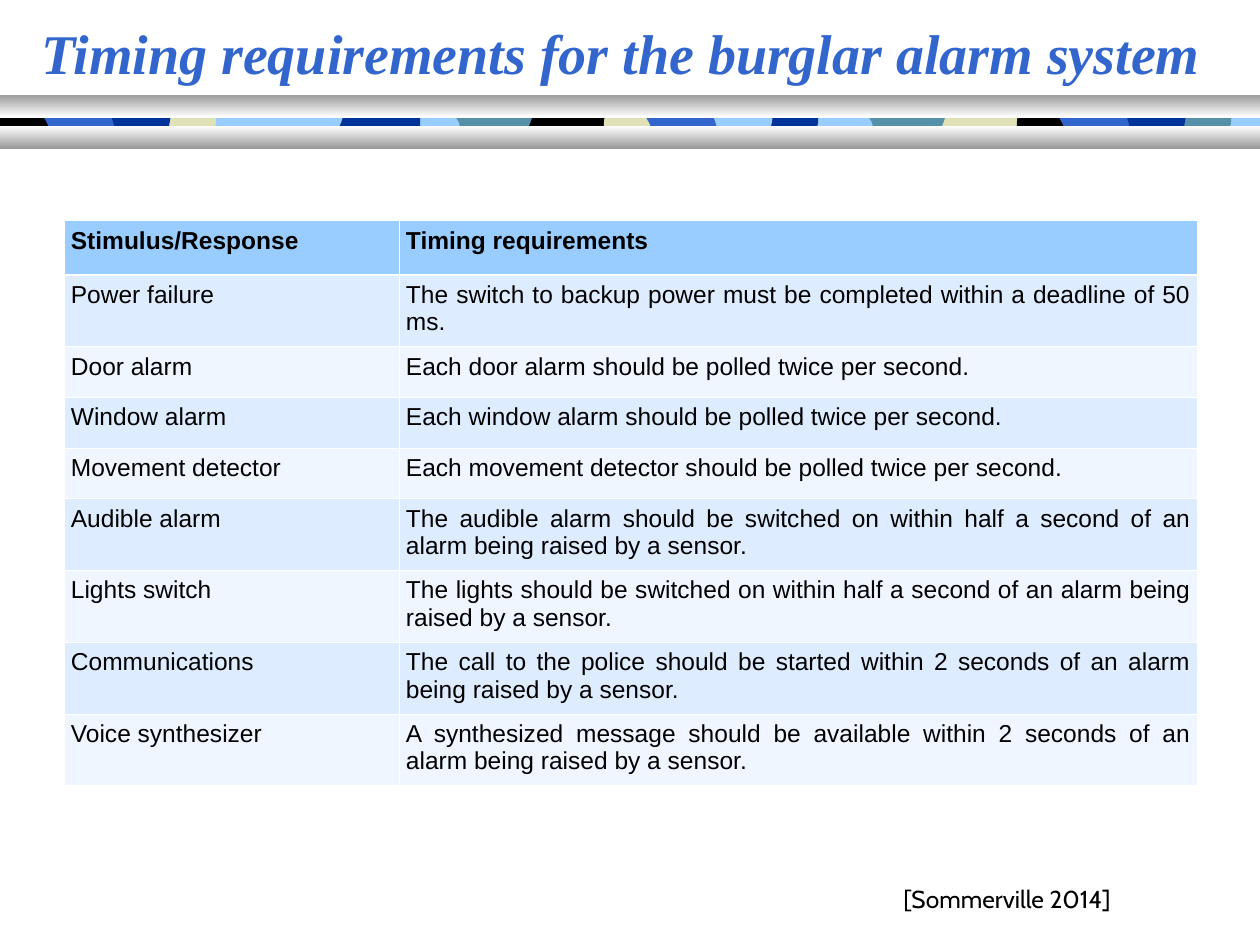
from dataclasses import dataclass
from typing import Any, Iterator, NamedTuple

from lxml.etree import SubElement as Sub
from pptx import Presentation
from pptx.dml.color import RGBColor as Rgb
from pptx.enum.shapes import MSO_SHAPE as Geo
from pptx.enum.text import MSO_ANCHOR as Anchor, MSO_AUTO_SIZE as Auto, PP_ALIGN as Align
from pptx.oxml.ns import qn
from pptx.util import Pt


@dataclass(frozen=True)
class Theme:
    black: str = "000000"
    white: str = "FFFFFF"
    grey: str = "999999"
    sky: str = "99CCFF"
    blue: str = "3366CC"
    navy: str = "003399"
    teal: str = "5490A8"
    sand: str = "E1E1B7"
    bands: tuple = ("DEECFF", "EFF6FF")
    head: float = 32
    text: float = 14
    thin: float = 0.45
    thick: float = 1.47


T = Theme()


class Box(NamedTuple):
    left: float
    top: float
    width: float
    height: float


class Tile(NamedTuple):
    """A ribbon piece: its offset in a run, and lines (2 numbers) or curves (6)."""
    left: float
    steps: tuple


class Run(NamedTuple):
    """Tiles laid from one origin, each with its colour."""
    left: float
    tiles: str
    inks: tuple


class Bar(NamedTuple):
    box: Box
    top: str
    foot: str


RIBBON = Box(0, 61.2, 720, 20.2)
TILES = {
    "A": Tile(0, ((45, 20), (0, 20), (8, 6.5, -8, 3.6, 0, 0), (45, 0))),
    "B": Tile(42.5, ((45, 20), (0, 20), (-8, 17, 5, 6.5, 0, 0), (45, 0))),
    "C": Tile(179.3, ((23, 20), (0, 20), (-4, 17, -4, 3.6, 0, 0), (23, 0),
                      (28, 1.4, 27.4, 5, 27.4, 8), (27.4, 11.5, 24, 18, 23, 20))),
    "D": Tile(88, ((31.5, 20), (0, 20), (-5, 17, -5, 3.6, 0, 0), (31.5, 0),
                   (27, 13, 31.5, 16, 31.5, 20))),
    "E": Tile(106, ((45, 20), (0, 20), (5.5, 17, 5.5, 15.5, 5.5, 13),
                    (5.5, 9.5, 0, 3.6, 0, 0), (45, 0))),
    "F": Tile(149, ((29.5, 20), (0, 20), (-5, 19, 0, 15.5, 0, 13), (0, 9, -5, 2, 0, 0),
                    (29.5, 0), (34.5, 3, 29.5, 14, 29.5, 17), (29.5, 20))),
    "edge": Tile(83.3, ((36.5, 20), (0, 20), (0, 0), (36.5, 0),
                        (31.5, 13, 36.5, 16, 36.5, 20))),
}
RUNS = (
    Run(496.8, ("A", "B", "C", "D", "E", "F"),
        (T.teal, T.sand, T.teal, T.black, T.blue, T.navy)),
    Run(260.8, ("A", "B", "C", "D", "E", "F"),
        (T.teal, T.black, T.navy, T.sand, T.blue, T.sky)),
    Run(152.6, ("A", "B"), (T.sky, T.navy)),
    Run(-83.3, ("C", "edge", "E", "F"), (T.sand, T.black, T.blue, T.navy)),
)
BARS = (Bar(Box(0, 54, 720, 13), T.grey, T.white),
        Bar(Box(0, 72, 720, 13), T.white, T.grey))

SENSOR = "of an alarm being raised by a sensor."
ROWS = (
    ("Stimulus/Response", "Timing requirements", 31),
    ("Power failure",
     "The switch to backup power must be completed within a deadline of 50 ms.", 41),
    ("Door alarm", "Each door alarm should be polled twice per second.", 29),
    ("Window alarm", "Each window alarm should be polled twice per second.", 29),
    ("Movement detector", "Each movement detector should be polled twice per second.", 29),
    ("Audible alarm",
     f"The audible alarm should be switched on within half a second {SENSOR}", 41),
    ("Lights switch", f"The lights should be switched on within half a second {SENSOR}", 41),
    ("Communications", f"The call to the police should be started within 2 seconds {SENSOR}", 41),
    ("Voice synthesizer",
     f"A synthesized message should be available within 2 seconds {SENSOR}", 41),
)
COLS = (191.5, 456.5)


def place(box: Box) -> tuple:
    return tuple(Pt(n) for n in box)


def apply(item: Any, form: dict) -> None:
    for name, value in form.items():
        setattr(item, name, value)


def paint(shape: Any, ink: str) -> None:
    shape.fill.solid()
    shape.fill.fore_color.rgb = Rgb.from_string(ink)


def plain(shape: Any) -> None:
    shape.shadow.inherit = False
    shape.line.fill.background()


def write(frame: Any, text: str, align: Any, ink: str, font: dict, form: dict) -> None:
    apply(frame, {"word_wrap": True, **form})
    line = frame.paragraphs[0]
    line.alignment = align
    run = line.add_run()
    run.text = text
    apply(run.font, font)
    run.font.color.rgb = Rgb.from_string(ink)


def trace(steps: tuple, parts: int = 8) -> Iterator[tuple]:
    """Yield the points of an outline, with each cubic curve cut into parts."""
    last = steps[0]
    for step in steps:
        if len(step) == 2:
            yield step
        else:
            knots = (last, step[:2], step[2:4], step[4:])
            for i in range(1, parts + 1):
                t = i / parts
                rates = ((1 - t) ** 3, 3 * t * (1 - t) ** 2, 3 * t * t * (1 - t), t ** 3)
                yield tuple(sum(r * k[axis] for r, k in zip(rates, knots)) for axis in (0, 1))
        last = step[-2:]


def draw_tile(shapes: Any, tile: Tile, left: float, ink: str) -> None:
    spots = [(Pt(left + tile.left + x), Pt(RIBBON.top + y)) for x, y in trace(tile.steps)]
    pen = shapes.build_freeform(*spots[0])
    pen.add_line_segments(spots[1:], close=True)
    shape = pen.convert_to_shape()
    paint(shape, ink)
    plain(shape)


def draw_bar(shapes: Any, bar: Bar) -> None:
    shape = shapes.add_shape(Geo.RECTANGLE, *place(bar.box))
    shape.fill.gradient()
    shape.fill.gradient_angle = 270
    for stop, ink in zip(shape.fill.gradient_stops, (bar.top, bar.foot)):
        stop.color.rgb = Rgb.from_string(ink)
    plain(shape)


def rule(cell: Any, widths: dict) -> None:
    """Give the cell white borders; this must come before its fill."""
    props = cell._tc.get_or_add_tcPr()
    for side, width in widths.items():
        line = Sub(props, qn(f"a:ln{side}"), w=str(Pt(width)))
        Sub(Sub(line, qn("a:solidFill")), qn("a:srgbClr"), val=T.white)


def draw_table(shapes: Any) -> None:
    box = Box(36.5, 126, sum(COLS), sum(row[-1] for row in ROWS))
    table = shapes.add_table(len(ROWS), len(COLS), *place(box)).table
    table.horz_banding = False
    for col, width in zip(table.columns, COLS):
        col.width = Pt(width)
    edges = {"margin_left": Pt(4), "margin_right": Pt(4),
             "margin_top": Pt(3.6), "margin_bottom": Pt(3.6)}
    for r, (*texts, height) in enumerate(ROWS):
        table.rows[r].height = Pt(height)
        font = {"name": "Arial", "size": Pt(T.text), "bold": r == 0}
        for c, text in enumerate(texts):
            cell = table.cell(r, c)
            rule(cell, {"L": T.thin, "R": T.thin, "T": T.thick if r == 1 else T.thin,
                        "B": T.thick if r == 0 else T.thin})
            paint(cell, T.bands[(r - 1) % 2] if r else T.sky)
            apply(cell, edges)
            write(cell.text_frame, text, Align.JUSTIFY, T.black, font, {})


def main() -> None:
    deck = Presentation()
    apply(deck, {"slide_width": Pt(720), "slide_height": Pt(540)})
    slide = deck.slides.add_slide(deck.slide_layouts[5])
    shapes = slide.shapes

    ribbon = shapes.add_shape(Geo.RECTANGLE, *place(RIBBON))
    paint(ribbon, T.sky)
    plain(ribbon)
    for run in RUNS:
        for name, ink in zip(run.tiles, run.inks):
            draw_tile(shapes, TILES[name], run.left, ink)
    for bar in BARS:
        draw_bar(shapes, bar)

    title = shapes.title
    apply(title, dict(zip(Box._fields, place(Box(0, 0, 718, 60)))))
    write(title.text_frame, "Timing requirements for the burglar alarm system",
          Align.CENTER, T.blue,
          {"name": "Times New Roman", "size": Pt(T.head), "bold": True, "italic": True},
          {"auto_size": Auto.NONE, "vertical_anchor": Anchor.MIDDLE, "margin_right": Pt(15)})
    draw_table(shapes)
    source = shapes.add_textbox(*place(Box(461.5, 489.6, 228, 36)))
    write(source.text_frame, "[Sommerville 2014]", Align.CENTER, T.black,
          {"name": "Cabin", "size": Pt(T.text)}, {"vertical_anchor": Anchor.BOTTOM})
    deck.save("out.pptx")


if __name__ == "__main__":
    main()
